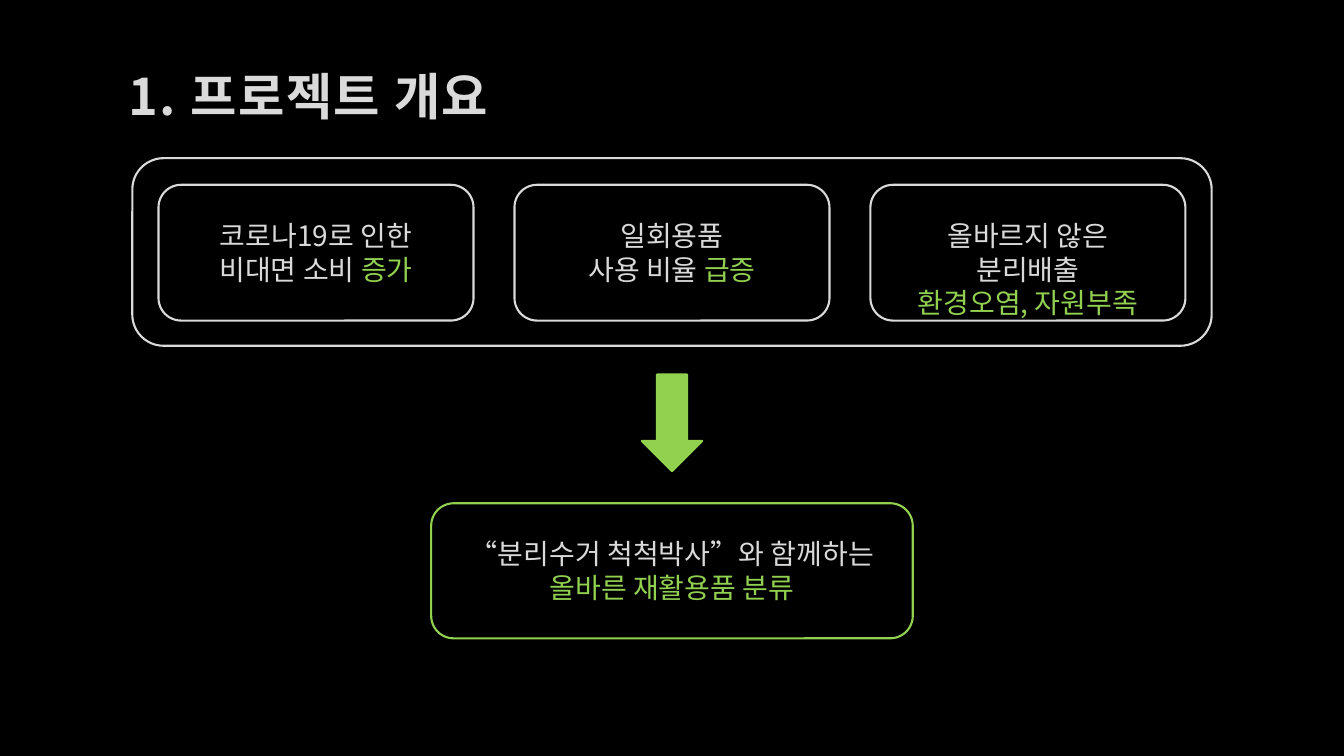
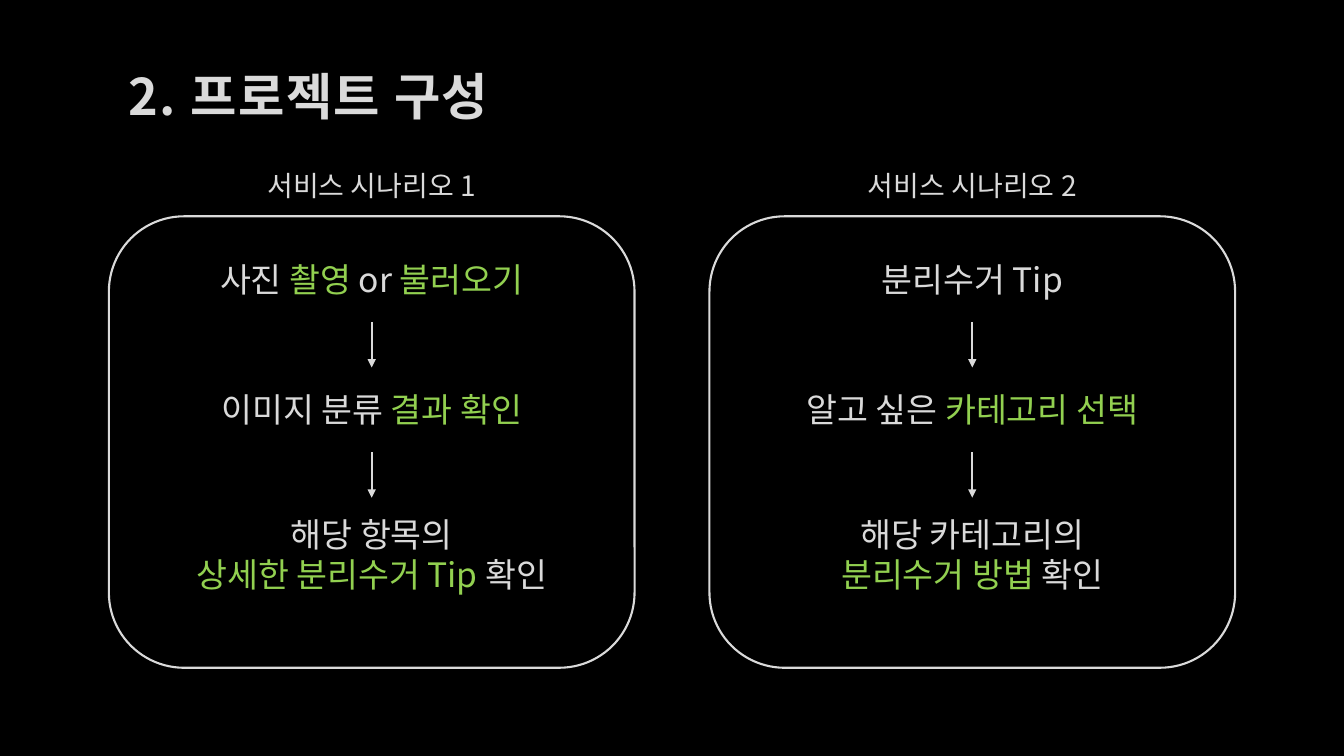
"""Builds two dark slides: the project overview and the service scenarios."""
from lxml.etree import SubElement
from pptx import Presentation
from pptx.dml.color import RGBColor
from pptx.enum.shapes import MSO_CONNECTOR, MSO_SHAPE
from pptx.enum.text import MSO_ANCHOR, PP_ALIGN
from pptx.oxml.ns import qn
from pptx.util import Pt

BLACK, LIGHT, GREEN = "000000", "DADADA", "92D050"
FONT = "Noto Sans CJK KR"
WIDTH, HEIGHT = 960, 540
MID = WIDTH / 2

OVERVIEW = "1. 프로젝트 개요"
CAUSES = [
    [[("코로나19로 인한", LIGHT)], [("비대면 소비", LIGHT), (" 증가", GREEN)]],
    [[("일회용품", LIGHT)], [("사용 비율 ", LIGHT), ("급증", GREEN)]],
    [[("올바르지 않은 분리배출", LIGHT)], [("환경오염, 자원부족", GREEN)]],
]
GOAL = [[("“분리수거 척척박사”와 함께하는", LIGHT)], [("올바른 재활용품 분류", GREEN)]]

STRUCTURE = "2. 프로젝트 구성"
SCENARIOS = [
    ("서비스 시나리오 1", [
        [[("사진 ", LIGHT), ("촬영 ", GREEN), ("or ", LIGHT), ("불러오기", GREEN)]],
        [[("이미지 분류 ", LIGHT), ("결과 확인", GREEN)]],
        [[("해당 항목의", LIGHT)], [("상세한 분리수거 Tip ", GREEN), ("확인", LIGHT)]],
    ]),
    ("서비스 시나리오 2", [
        [[("분리수거 Tip", LIGHT)]],
        [[("알고 싶은 ", LIGHT), ("카테고리 선택", GREEN)]],
        [[("해당 카테고리의", LIGHT)], [("분리수거 방법", GREEN), (" 확인", LIGHT)]],
    ]),
]


def rgb(color):
    return RGBColor.from_string(color)


def add_text(s, cx, y, w, h, lines, size, align=PP_ALIGN.CENTER):
    tf = s.shapes.add_textbox(Pt(cx - w / 2), Pt(y), Pt(w), Pt(h)).text_frame
    tf.word_wrap = True
    for i, line in enumerate(lines):
        p = tf.paragraphs[0] if i == 0 else tf.add_paragraph()
        p.alignment = align
        for text, color in line:
            r = p.add_run()
            r.text = text
            r.font.size = Pt(size)
            r.font.color.rgb = rgb(color)
            r.font.name = FONT
            SubElement(r.font._element, qn("a:ea"), typeface=FONT)
    return tf


def add_box(s, cx, y, w, h, color=LIGHT, kind=MSO_SHAPE.ROUNDED_RECTANGLE, fill=None):
    sp = s.shapes.add_shape(kind, Pt(cx - w / 2), Pt(y), Pt(w), Pt(h))
    sp.shadow.inherit = False
    if fill:
        sp.fill.solid()
        sp.fill.fore_color.rgb = rgb(fill)
    else:
        sp.fill.background()
    sp.line.color.rgb = rgb(color)
    sp.line.width = Pt(1.5)


def add_arrow(s, x, y, length):
    line = s.shapes.add_connector(MSO_CONNECTOR.STRAIGHT, Pt(x), Pt(y), Pt(x), Pt(y + length))
    line.line.color.rgb = rgb(LIGHT)
    line.line.width = Pt(1.5)
    SubElement(line.line._get_or_add_ln(), qn("a:tailEnd"), type="triangle")
    SubElement(line._element.spPr, qn("a:effectLst"))


def add_slide(prs, title):
    s = prs.slides.add_slide(prs.slide_layouts[6])
    s.background.fill.solid()
    s.background.fill.fore_color.rgb = rgb(BLACK)
    tf = add_text(s, MID, 29.5, 790, 63.5, [[(title, LIGHT)]], 36, PP_ALIGN.JUSTIFY)
    tf.vertical_anchor = MSO_ANCHOR.BOTTOM
    font = tf.paragraphs[0].runs[0].font
    font.bold = True
    font._element.set("spc", "100")
    return s


def build_overview(prs):
    s = add_slide(prs, OVERVIEW)
    add_box(s, MID, 113, 771, 134)
    for i, lines in enumerate(CAUSES):
        cx = MID + (i - 1) * 254.25
        add_box(s, cx, 132, 225, 97)
        add_text(s, cx, 152.5, 200, 55.5, lines, 20)
    add_box(s, MID, 267.5, 43, 69, GREEN, MSO_SHAPE.DOWN_ARROW, GREEN)
    add_box(s, MID, 359.5, 344, 96.5, GREEN)
    add_text(s, MID, 380, 318, 55.5, GOAL, 20)


def build_structure(prs):
    s = add_slide(prs, STRUCTURE)
    for side, (label, steps) in zip((-1, 1), SCENARIOS):
        cx = MID + side * 214.5
        add_text(s, cx, 116.5, 298, 31.5, [[(label, LIGHT)]], 20)
        add_box(s, cx, 154.5, 375.5, 322.5)
        for y, lines in zip((181.5, 274.5, 363.5), steps):
            add_text(s, cx, y, 298, 36 if len(lines) == 1 else 65.5, lines, 24)
        for i in range(len(steps) - 1):
            add_arrow(s, cx, 230 + i * 93, 32.5)


def main():
    prs = Presentation()
    prs.slide_width, prs.slide_height = Pt(WIDTH), Pt(HEIGHT)
    build_overview(prs)
    build_structure(prs)
    prs.save("out.pptx")


if __name__ == "__main__":
    main()
